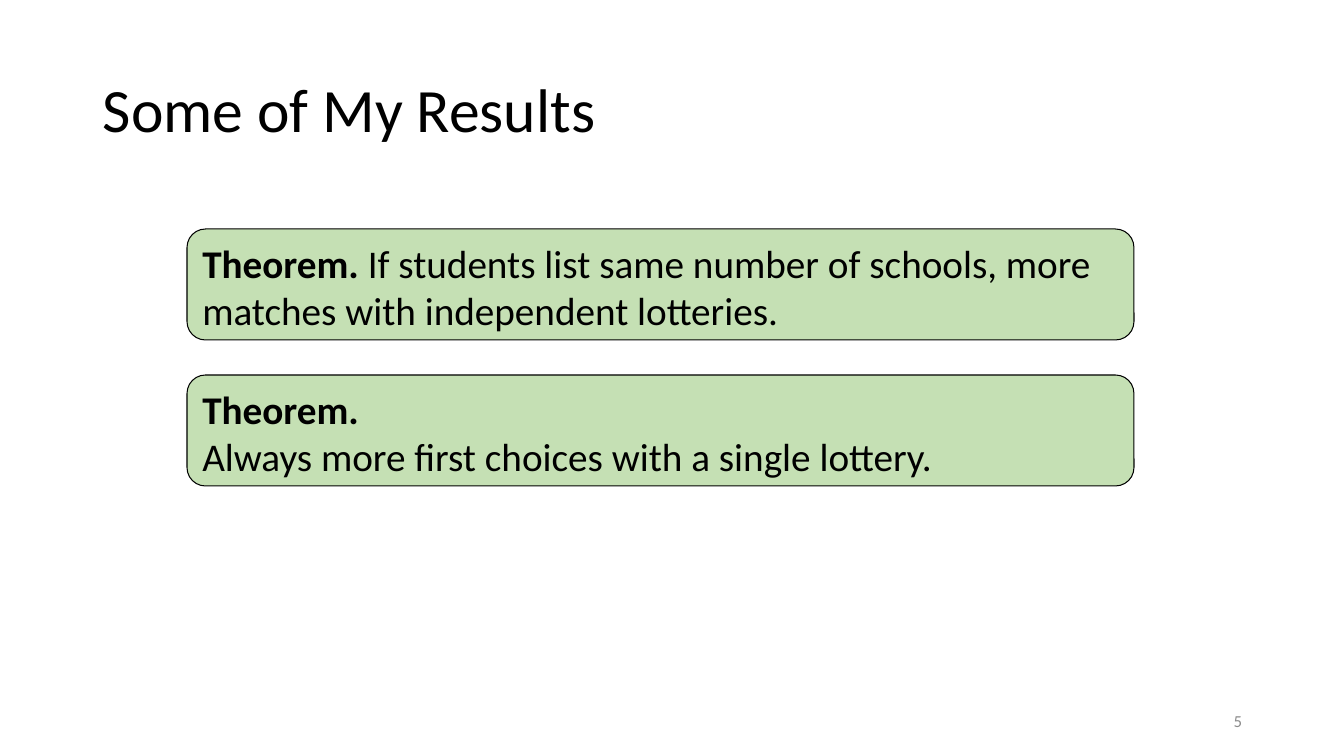
from pptx import Presentation
from pptx.dml.color import RGBColor
from pptx.enum.shapes import MSO_SHAPE
from pptx.enum.text import MSO_ANCHOR, PP_ALIGN
from pptx.util import Pt

ROUND = MSO_SHAPE.ROUNDED_RECTANGLE
TOP, MIDDLE = MSO_ANCHOR.TOP, MSO_ANCHOR.MIDDLE
LEFT, RIGHT = PP_ALIGN.LEFT, PP_ALIGN.RIGHT

TITLE = "Some of My Results"
NUMBER = "5"
# Each theorem is a list of paragraphs; a paragraph lists (text, bold) runs.
THEOREMS = [
    [[("Theorem. ", True),
      ("If students list same number of schools, more matches with "
       "independent lotteries.", False)]],
    [[("Theorem.", True)],
     [("Always more first choices with a single lottery.", False)]],
]

THEME = {
    "font": "Calibri",
    "ink": "000000", "muted": "8C8C8C", "card": "C5E0B4",
    "title": 44, "body": 28, "small": 12, "edge": 0.75,
}

SIZE = (1344, 756)
TITLE_BOX = (93, 40, 1159, 146)
NUMBER_BOX = (950, 701, 302, 40)
CARD = (187, 229, 947, 111)
GAP = 35


def px(n):
    return round(n * 914400 / 100.8)


def rgb(name):
    return RGBColor.from_string(THEME[name])


def write(shape, paras, size="body", color="ink", anchor=TOP, align=LEFT,
          spacing=1.0):
    frame = shape.text_frame
    frame.word_wrap = True
    frame.vertical_anchor = anchor
    for i, runs in enumerate(paras):
        para = frame.add_paragraph() if i else frame.paragraphs[0]
        para.alignment = align
        para.line_spacing = spacing
        for text, bold in runs:
            run = para.add_run()
            run.text = text
            font = run.font
            font.name, font.size, font.bold = THEME["font"], Pt(THEME[size]), bold
            font.color.rgb = rgb(color)


def add_label(slide, box, text, **style):
    shape = slide.shapes.add_textbox(*map(px, box))
    write(shape, [[(text, False)]], anchor=MIDDLE, **style)


def add_card(slide, box, paras):
    shape = slide.shapes.add_shape(ROUND, *map(px, box))
    shape.shadow.inherit = False
    shape.fill.solid()
    shape.fill.fore_color.rgb = rgb("card")
    shape.line.color.rgb = rgb("ink")
    shape.line.width = Pt(THEME["edge"])
    write(shape, paras)


def main():
    deck = Presentation()
    deck.slide_width, deck.slide_height = map(px, SIZE)
    slide = deck.slides.add_slide(deck.slide_layouts[6])
    add_label(slide, TITLE_BOX, TITLE, size="title", spacing=0.9)
    add_label(slide, NUMBER_BOX, NUMBER, size="small", color="muted", align=RIGHT)
    left, top, width, height = CARD
    for i, paras in enumerate(THEOREMS):
        add_card(slide, (left, top + i * (height + GAP), width, height), paras)
    deck.save("out.pptx")


if __name__ == "__main__":
    main()
